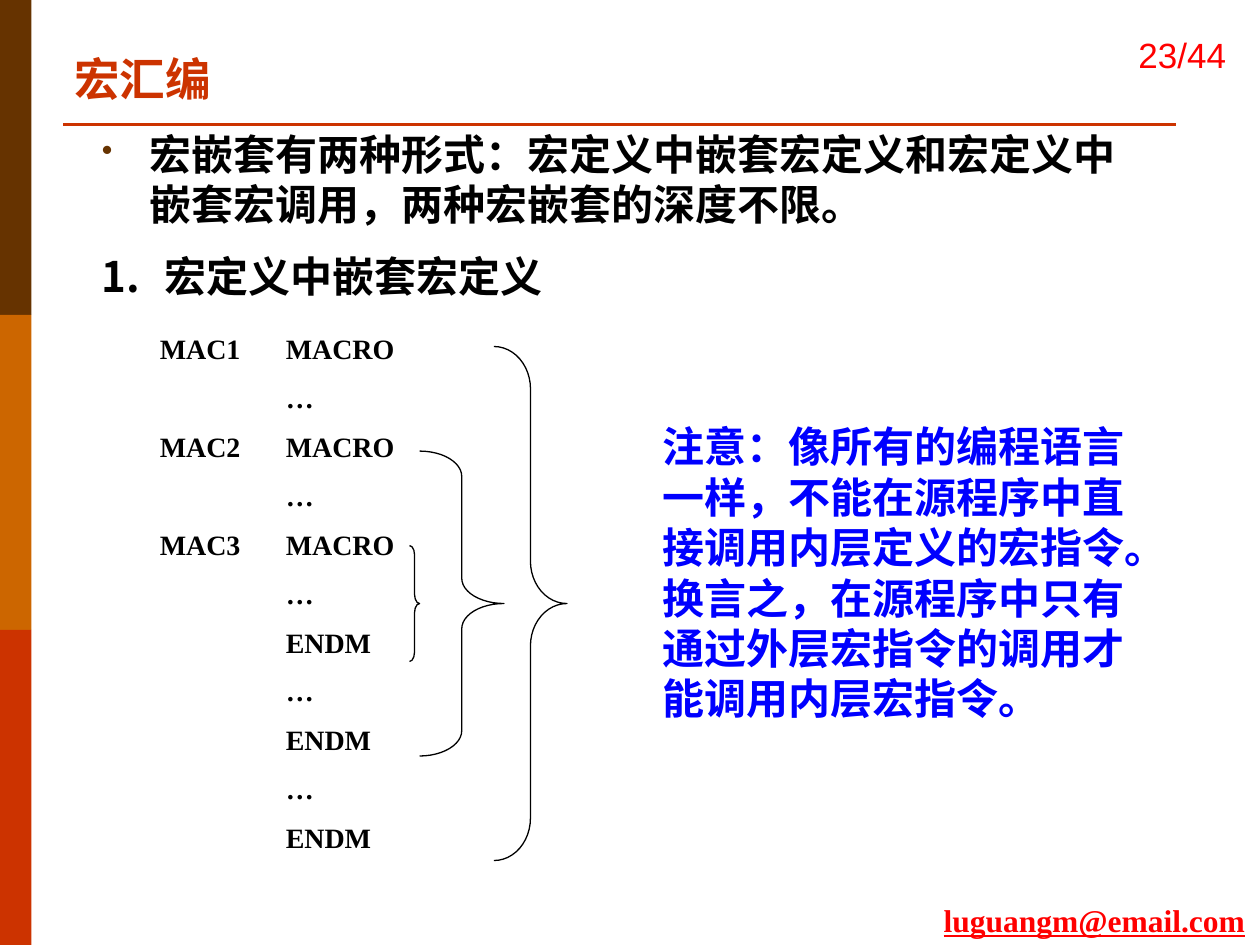
from lxml import etree
from pptx import Presentation
from pptx.dml.color import RGBColor
from pptx.enum.shapes import MSO_CONNECTOR, MSO_SHAPE
from pptx.enum.text import MSO_ANCHOR, MSO_AUTO_SIZE, PP_ALIGN
from pptx.oxml.ns import qn
from pptx.util import Inches, Pt

RECTANGLE, BRACE = MSO_SHAPE.RECTANGLE, MSO_SHAPE.RIGHT_BRACE
STRAIGHT = MSO_CONNECTOR.STRAIGHT
TOP, MIDDLE = MSO_ANCHOR.TOP, MSO_ANCHOR.MIDDLE
LEFT, RIGHT = PP_ALIGN.LEFT, PP_ALIGN.RIGHT
NO_AUTOFIT = MSO_AUTO_SIZE.NONE

BROWN, ORANGE, RUST = "663300", "CC6600", "CC3300"
BLACK, RED, BLUE = "000000", "FF0000", "0000FF"

CODE = [
    "MAC1\tMACRO", "\t…", "MAC2\tMACRO", "\t…", "MAC3\tMACRO", "\t…",
    "\tENDM", "\t…", "\tENDM", "\t…", "\tENDM",
]
BRACES = [
    (3.25, 4.33, 0.08, 0.92, 0.92),
    (3.33, 3.58, 0.67, 2.42, 0.3),
    (3.92, 2.75, 0.58, 4.08, 0.58),
]
NOTE = (
    "注意：像所有的编程语言一样，不能在源程序中直接调用内层定义的宏指令。"
    "换言之，在源程序中只有通过外层宏指令的调用才能调用内层宏指令。"
)


def color(value):
    """Turn a hex string into a colour."""
    return RGBColor.from_string(value)


def add_property(paragraph, tag, **attributes):
    """Append an element to the properties of a paragraph and return it."""
    properties = paragraph._p.get_or_add_pPr()
    return etree.SubElement(properties, qn(tag), attributes)


def set_hanging(paragraph, indent):
    """Give a paragraph a hanging indent."""
    properties = paragraph._p.get_or_add_pPr()
    properties.set("marL", str(Inches(indent)))
    properties.set("indent", str(-Inches(indent)))


def add_bullet(paragraph):
    """Give a paragraph a small brown bullet."""
    set_hanging(paragraph, 0.38)
    bullet_color = add_property(paragraph, "a:buClr")
    etree.SubElement(bullet_color, qn("a:srgbClr"), val=BROWN)
    add_property(paragraph, "a:buSzPct", val="75000")
    add_property(paragraph, "a:buChar", char="•")


def add_number(paragraph):
    """Number a paragraph with an Arabic numeral."""
    set_hanging(paragraph, 0.5)
    add_property(paragraph, "a:buAutoNum", type="arabicPeriod")


def add_tab(paragraph):
    """Set the column stop of a code line."""
    tabs = add_property(paragraph, "a:tabLst")
    etree.SubElement(tabs, qn("a:tab"), pos=str(Inches(1)), algn="l")


def write(frame, lines, size=24, fill=BLACK, font="Times New Roman", bold=True,
          underline=False, align=LEFT, anchor=TOP, wrap=True, gap=0, marks=()):
    """Fill a text frame with formatted paragraphs."""
    frame.word_wrap = wrap
    frame.auto_size = NO_AUTOFIT
    frame.vertical_anchor = anchor
    for index, line in enumerate(lines):
        paragraph = frame.add_paragraph() if index else frame.paragraphs[0]
        paragraph.text = line
        paragraph.alignment = align
        paragraph.space_before = Pt(gap if index else 0)
        if marks:
            marks[index](paragraph)
        paragraph.font.size = Pt(size)
        for run in paragraph.runs:
            run.font.name = font
            run.font.size = Pt(size)
            run.font.bold = bold
            run.font.underline = underline
            run.font.color.rgb = color(fill)


class SlideBuilder:
    """Hold the current slide and draw its elements in one style."""

    def __init__(self, slide):
        """Keep the slide to draw on."""
        self.slide = slide

    def title(self, text, left, top, width, height):
        """Place and format the title."""
        title = self.slide.shapes.title
        title.left, title.top = Inches(left), Inches(top)
        title.width, title.height = Inches(width), Inches(height)
        write(title.text_frame, [text], size=26, fill=RUST, anchor=MIDDLE)

    def text(self, lines, left, top, width, height, **style):
        """Add a text box."""
        box = self.slide.shapes.add_textbox(
            Inches(left), Inches(top), Inches(width), Inches(height))
        write(box.text_frame, lines, **style)

    def shape(self, kind, left, top, width, height):
        """Add a preset shape without shadow."""
        shape = self.slide.shapes.add_shape(
            kind, Inches(left), Inches(top), Inches(width), Inches(height))
        shape.shadow.inherit = False
        return shape

    def band(self, top, fill):
        """Add a block of the side bar."""
        band = self.shape(RECTANGLE, 0, top, 0.25, 2.5)
        band.fill.solid()
        band.fill.fore_color.rgb = color(fill)
        band.line.fill.background()

    def brace(self, left, top, width, height, curve):
        """Add a right brace."""
        brace = self.shape(BRACE, left, top, width, height)
        brace.adjustments[0] = curve
        brace.fill.background()
        brace.line.color.rgb = color(BLACK)
        brace.line.width = Pt(0.75)

    def rule(self, left, right, top):
        """Add the horizontal line under the title."""
        line = self.slide.shapes.add_connector(
            STRAIGHT, Inches(left), Inches(top), Inches(right), Inches(top))
        line.line.color.rgb = color(RUST)
        line.line.width = Pt(1.5)
        etree.SubElement(line._element.spPr, qn("a:effectLst"))


def main():
    """Build the slide and save it."""
    presentation = Presentation()
    presentation.slide_width, presentation.slide_height = Inches(10), Inches(7.5)
    builder = SlideBuilder(
        presentation.slides.add_slide(presentation.slide_layouts[5]))

    for index, fill in enumerate((BROWN, ORANGE, RUST)):
        builder.band(2.5 * index, fill)
    builder.rule(0.5, 9.33, 0.99)
    builder.title("宏汇编", 0.49, 0.35, 6.99, 0.54)
    builder.text(["23/44"], 8.78, 0.01, 1.05, 0.84, size=20, fill=RED,
                 font="Arial", bold=False, align=RIGHT, anchor=MIDDLE)
    builder.text(["luguangm@email.com"], 7.39, 7.1, 2.61, 0.4, size=18,
                 fill=RED, underline=True, wrap=False)
    builder.text(
        ["宏嵌套有两种形式：宏定义中嵌套宏定义和宏定义中嵌套宏调用，两种宏嵌套的深度不限。",
         "宏定义中嵌套宏定义"],
        0.71, 0.97, 8.5, 1.5, gap=12, marks=(add_bullet, add_number))
    builder.text(CODE, 1.17, 2.58, 2.92, 4.38, size=16, gap=8.8,
                 marks=[add_tab] * len(CODE))
    for brace in BRACES:
        builder.brace(*brace)
    builder.text([NOTE], 5.16, 3.28, 3.99, 2.52, fill=BLUE, anchor=MIDDLE)

    presentation.save("out.pptx")


if __name__ == "__main__":
    main()
